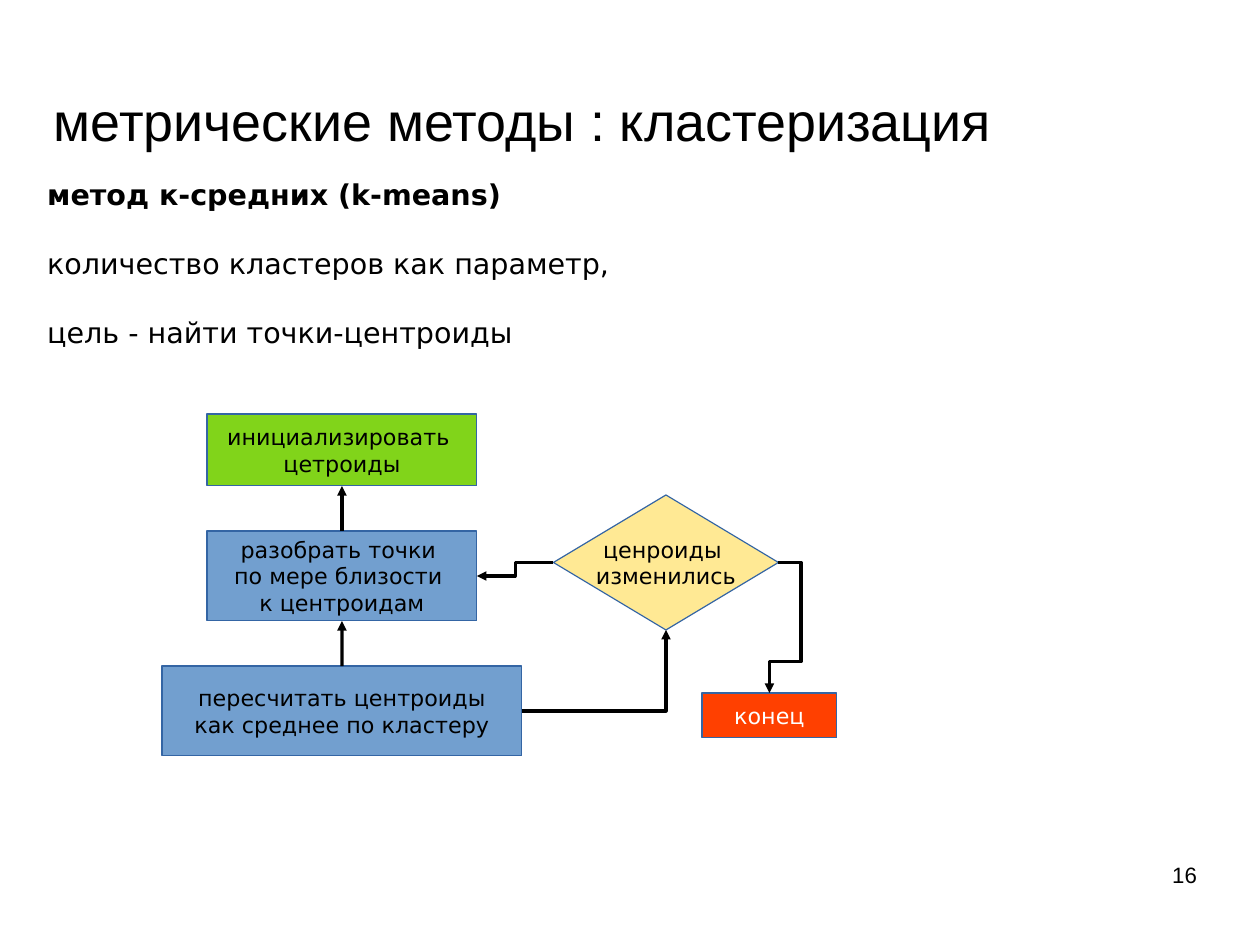
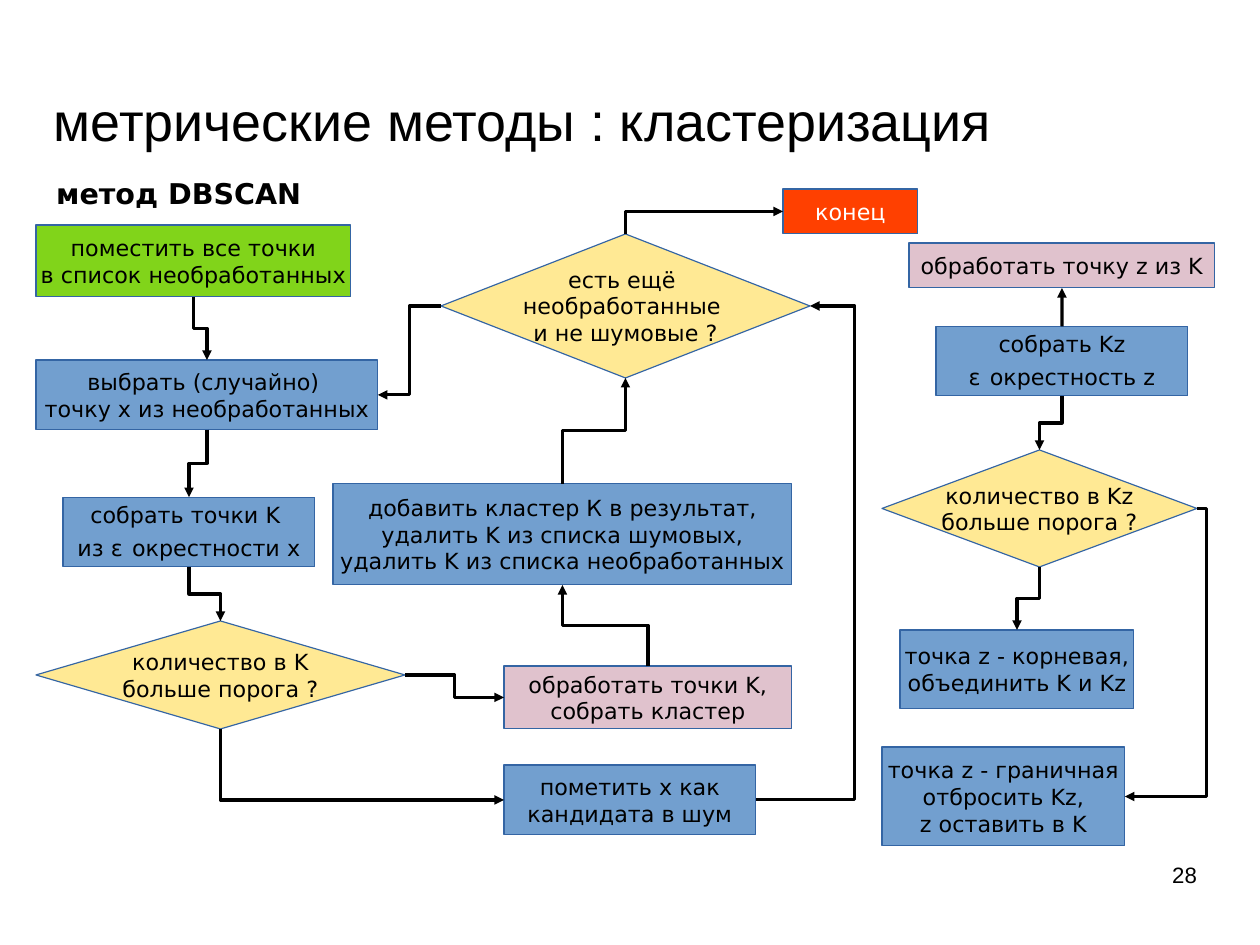
import pptx
import pptx.util
import pptx.dml.color
import pptx.enum.shapes
import pptx.enum.text
import pptx.oxml.ns
from lxml import etree

Cm = pptx.util.Cm
Pt = pptx.util.Pt
RGBColor = pptx.dml.color.RGBColor
Preset = pptx.enum.shapes.MSO_SHAPE
Connector = pptx.enum.shapes.MSO_CONNECTOR
Align = pptx.enum.text.PP_ALIGN
Anchor = pptx.enum.text.MSO_ANCHOR
qn = pptx.oxml.ns.qn

BLACK = RGBColor(0x00, 0x00, 0x00)
WHITE = RGBColor(0xFF, 0xFF, 0xFF)
OUTLINE = RGBColor(0x34, 0x65, 0xA4)
START = RGBColor(0x81, 0xD4, 0x1A)
STEP = RGBColor(0x72, 0x9F, 0xCF)
DECISION = RGBColor(0xFF, 0xE9, 0x94)
SUBROUTINE = RGBColor(0xE0, 0xC2, 0xCD)
END = RGBColor(0xFF, 0x40, 0x00)

TITLE_FONT = "Arial"
BODY_FONT = "DejaVu Sans"
TITLE = "метрические методы : кластеризация"

TOP, LEFT, BOTTOM, RIGHT = range(4)


def write_text(frame, lines, font=BODY_FONT, size=14, color=BLACK, bold_first=False,
               align=Align.LEFT, anchor=Anchor.TOP, wrap=True, inset=True, gap=0):
    frame.word_wrap = wrap
    frame.vertical_anchor = anchor
    if not inset:
        frame.margin_left = frame.margin_right = 0
        frame.margin_top = frame.margin_bottom = 0
    for index, line in enumerate(lines):
        paragraph = frame.add_paragraph() if index else frame.paragraphs[0]
        paragraph.alignment = align
        if index and gap:
            paragraph.space_before = Pt(gap)
        pieces = [(line, size)] if isinstance(line, str) else line
        for piece, piece_size in pieces:
            run = paragraph.add_run()
            run.text = piece
            run.font.name = font
            run.font.size = Pt(piece_size)
            run.font.bold = bold_first and index == 0
            run.font.color.rgb = color


def add_label(slide, box, lines, **text_format):
    label = slide.shapes.add_textbox(*map(Cm, box))
    write_text(label.text_frame, lines, **text_format)


def add_node(slide, box, lines, fill=STEP, preset=Preset.RECTANGLE, color=BLACK):
    node = slide.shapes.add_shape(preset, *map(Cm, box))
    node.shadow.inherit = False
    node.fill.solid()
    node.fill.fore_color.rgb = fill
    node.line.color.rgb = OUTLINE
    node.line.width = 0
    write_text(node.text_frame, lines, color=color, align=Align.CENTER,
               anchor=Anchor.MIDDLE, wrap=False)
    return node


def add_decision(slide, box, lines):
    return add_node(slide, box, lines, fill=DECISION, preset=Preset.DIAMOND)


def add_end(slide, left, top):
    return add_node(slide, (left, top, 3, 1), ["конец"], fill=END, color=WHITE)


def set_bends(link, preset, bends):
    geometry = link.element.spPr.find(qn("a:prstGeom"))
    geometry.set("prst", preset)
    guides = geometry.find(qn("a:avLst"))
    if guides is None:
        guides = etree.SubElement(geometry, qn("a:avLst"))
    for number, bend in enumerate(bends, 1):
        etree.SubElement(guides, qn("a:gd"), name=f"adj{number}",
                         fmla=f"val {round(bend * 100000)}")


def turn_quarter(link):
    x1, y1, x2, y2 = link.begin_x, link.begin_y, link.end_x, link.end_y
    mid_x, mid_y = (x1 + x2) // 2, (y1 + y2) // 2
    half_width, half_height = (x2 - x1) // 2, (y2 - y1) // 2
    link.begin_x, link.end_x = mid_x - half_height, mid_x + half_height
    link.begin_y, link.end_y = mid_y + half_width, mid_y - half_width
    link.rotation = 90


def add_link(slide, source, source_side, target, target_side, bends=()):
    link = slide.shapes.add_connector(Connector.ELBOW, 0, 0, 0, 0)
    link.begin_connect(source, source_side)
    link.end_connect(target, target_side)
    upright = source_side in (TOP, BOTTOM)
    same_axis = upright == (target_side in (TOP, BOTTOM))
    if upright and same_axis and abs(link.begin_x - link.end_x) < Cm(0.02):
        set_bends(link, "line", ())
    else:
        segments = 3 if same_axis else 2 + len(bends)
        set_bends(link, f"bentConnector{segments}", bends)
        if upright:
            turn_quarter(link)
    link.line.color.rgb = BLACK
    link.line.width = 0
    etree.SubElement(link.line._get_or_add_ln(), qn("a:tailEnd"), type="triangle")
    etree.SubElement(link.element.spPr, qn("a:effectLst"))


def add_slide(deck, number):
    slide = deck.slides.add_slide(deck.slide_layouts[6])
    add_label(slide, (1.2, 2, 22.2, 1.35), [TITLE], font=TITLE_FONT, size=33.9,
              anchor=Anchor.MIDDLE, inset=False)
    add_label(slide, (20.07, 19.13, 6.53, 1.45), [number], font=TITLE_FONT,
              align=Align.RIGHT, inset=False)
    return slide


def build_k_means(deck):
    slide = add_slide(deck, "16")
    add_label(slide, (0.8, 3.8, 14.5, 4.1),
              ["метод к-средних (k-means)", "количество кластеров как параметр,",
               "цель - найти точки-центроиды"], size=18, bold_first=True, gap=22)
    initialise = add_node(slide, (4.6, 9.2, 6, 1.6),
                          ["инициализировать ", "цетроиды"], fill=START)
    assign = add_node(slide, (4.6, 11.8, 6, 2),
                      ["разобрать точки ", "по мере близости ", "к центроидам"])
    recompute = add_node(slide, (3.6, 14.8, 8, 2),
                         ["пересчитать центроиды", "как среднее по кластеру"])
    changed = add_decision(slide, (12.3, 11, 5, 3), ["ценроиды ", "изменились"])
    end = add_end(slide, 15.6, 15.4)

    add_link(slide, recompute, TOP, assign, BOTTOM)
    add_link(slide, assign, TOP, initialise, BOTTOM)
    add_link(slide, changed, LEFT, assign, RIGHT)
    add_link(slide, recompute, RIGHT, changed, BOTTOM)
    add_link(slide, changed, RIGHT, end, TOP, bends=(-2.5, 0.76))


def build_dbscan(deck):
    slide = add_slide(deck, "28")
    add_label(slide, (1, 3.78, 8.2, 1.42), ["метод DBSCAN"], size=18, bold_first=True)
    enqueue = add_node(slide, (0.8, 5, 7, 1.6),
                       ["поместить все точки", "в список необработанных"], fill=START)
    choose = add_node(slide, (0.8, 8, 7.6, 1.55),
                      ["выбрать (случайно) ", "точку х из необработанных"])
    collect = add_node(slide, (1.4, 11.05, 5.6, 1.55),
                       ["собрать точки K ",
                        [("из ε", 14), (" ", 18), ("окрестности х", 14)]])
    enough = add_decision(slide, (0.8, 13.8, 8.2, 2.4),
                          ["количество в K", "больше порога ?"])
    expand = add_node(slide, (11.2, 14.8, 6.4, 1.4),
                      ["обработать точки K,", "собрать кластер"], fill=SUBROUTINE)
    noise = add_node(slide, (11.2, 17, 5.6, 1.55), ["пометить х как", "кандидата в шум"])
    store = add_node(slide, (7.4, 10.75, 10.2, 2.25),
                     ["добавить кластер К в результат,", "удалить K из списка шумовых,",
                      "удалить K из списка необработанных"])
    remaining = add_decision(slide, (9.8, 5.2, 8.2, 3.2),
                             ["есть ещё ", "необработанные ", "и не шумовые ?"])
    end = add_end(slide, 17.4, 4.2)

    add_link(slide, enqueue, BOTTOM, choose, TOP)
    add_link(slide, choose, BOTTOM, collect, TOP)
    add_link(slide, collect, BOTTOM, enough, TOP)
    add_link(slide, enough, BOTTOM, noise, LEFT)
    add_link(slide, enough, RIGHT, expand, LEFT)
    add_link(slide, expand, TOP, store, BOTTOM)
    add_link(slide, store, TOP, remaining, BOTTOM)
    add_link(slide, remaining, LEFT, choose, RIGHT)
    add_link(slide, noise, RIGHT, remaining, RIGHT, bends=(1.83,))
    add_link(slide, remaining, TOP, end, LEFT)

    process = add_node(slide, (20.2, 5.4, 6.8, 1), ["обработать точку z из K"],
                       fill=SUBROUTINE)
    collect_z = add_node(slide, (20.8, 7.25, 5.6, 1.55),
                         ["собрать Kz", [("ε", 14), (" ", 18), ("окрестность z", 14)]])
    enough_z = add_decision(slide, (19.6, 10, 7, 2.6),
                            ["количество в Kz", "больше порога ?"])
    core = add_node(slide, (20, 14, 5.2, 1.75),
                    ["точка z - корневая,", "объединить K и Kz"])
    border = add_node(slide, (19.6, 16.6, 5.4, 2.2),
                      ["точка z - граничная", "отбросить Kz,", "z оставить в K"])

    add_link(slide, collect_z, TOP, process, BOTTOM)
    add_link(slide, collect_z, BOTTOM, enough_z, TOP)
    add_link(slide, enough_z, BOTTOM, core, TOP)
    add_link(slide, enough_z, RIGHT, border, RIGHT, bends=(-0.13,))


def main():
    deck = pptx.Presentation()
    deck.slide_width = Cm(28)
    deck.slide_height = Cm(21)
    build_k_means(deck)
    build_dbscan(deck)
    deck.save("out.pptx")


if __name__ == "__main__":
    main()
